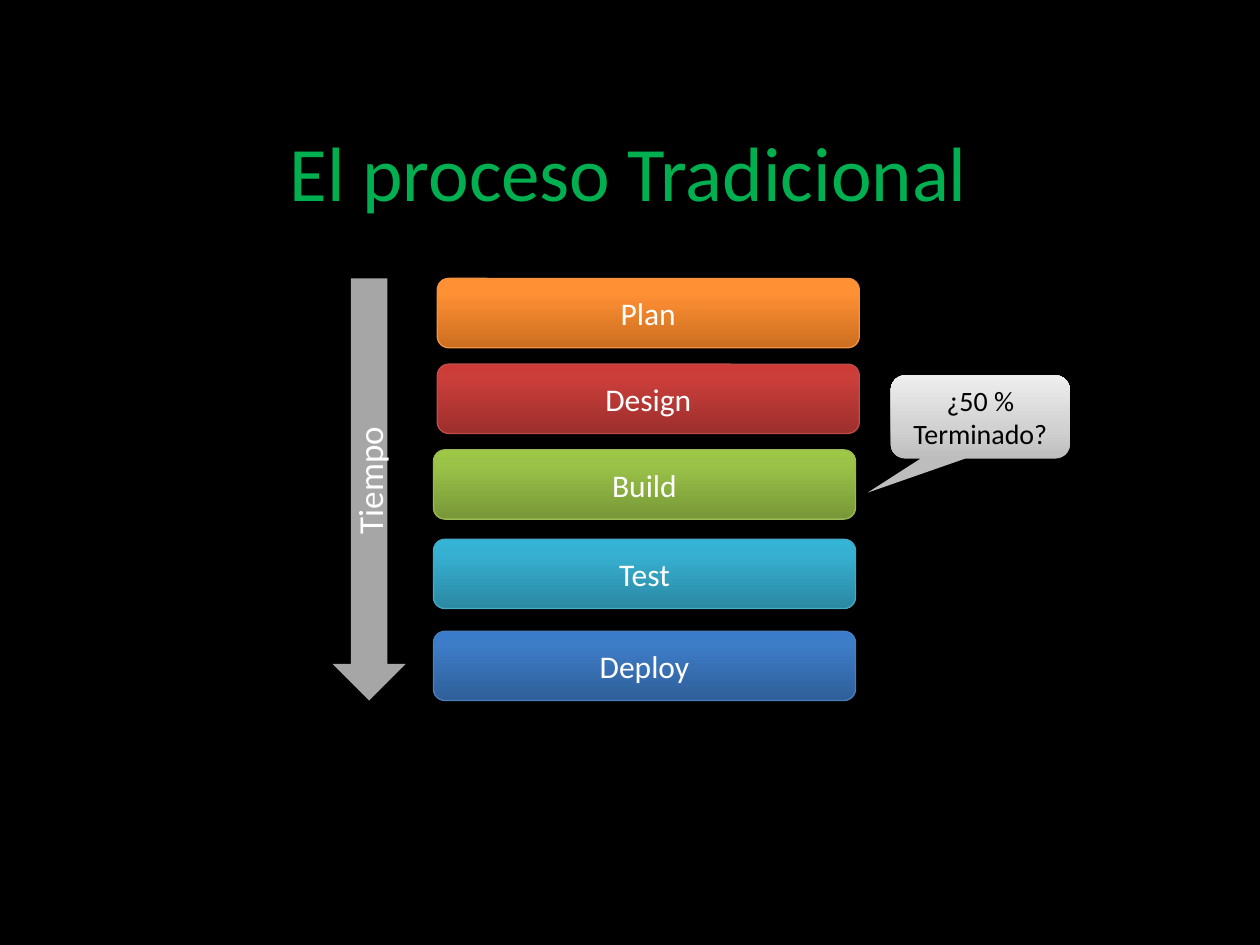
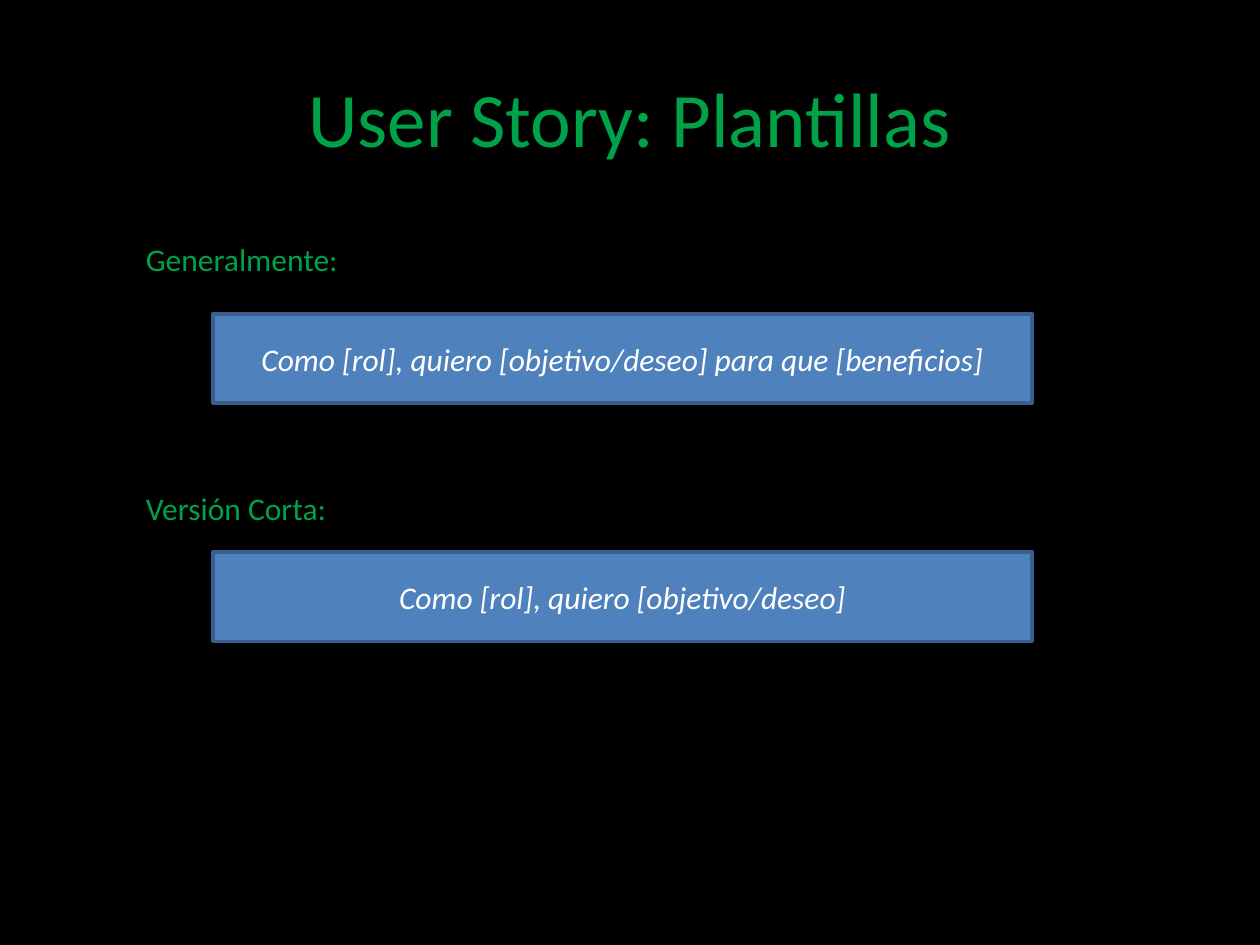
from dataclasses import dataclass

from lxml.etree import SubElement
from pptx import Presentation
from pptx.dml.color import RGBColor
from pptx.enum.shapes import MSO_SHAPE as SHAPE
from pptx.enum.text import MSO_ANCHOR as ANCHOR, MSO_AUTO_SIZE as AUTO_SIZE, PP_ALIGN as ALIGN
from pptx.oxml.ns import qn
from pptx.util import Inches, Pt

# Shared look
FONT = "Calibri"
BLACK, WHITE, GREY = "000000", "FFFFFF", "A6A6A6"
TITLE_GREEN, TEXT_GREEN = "00B050", "00A249"
BOX_FILL, BOX_LINE = "4F81BD", "3A5F8C"
TITLE_ONLY = 5


@dataclass
class Box:
    left: float
    top: float
    width: float
    height: float

    def lengths(self):
        return [Inches(v) for v in (self.left, self.top, self.width, self.height)]


@dataclass
class Phase:
    name: str
    left: float
    top: float
    dark: str
    mid: str
    light: str
    line: str


@dataclass
class Template:
    label: str
    label_box: Box
    story: str
    story_top: float


def rgb(color: str) -> RGBColor:
    return RGBColor.from_string(color)


def write(tf, lines: list[str], size: float, color: str, align=ALIGN.CENTER,
          anchor=ANCHOR.MIDDLE, italic=None) -> None:
    tf.vertical_anchor = anchor
    for i, line in enumerate(lines):
        p = tf.paragraphs[0] if i == 0 else tf.add_paragraph()
        p.alignment = align
        r = p.add_run()
        r.text = line
        r.font.name, r.font.size, r.font.italic = FONT, Pt(size), italic
        r.font.color.rgb = rgb(color)


def add_title_slide(prs, title: str, box: Box, color: str):
    s = prs.slides.add_slide(prs.slide_layouts[TITLE_ONLY])
    sp = s.shapes.title
    sp.left, sp.top, sp.width, sp.height = box.lengths()
    write(sp.text_frame, [title], 44, color)
    return s


def add_box(s, kind, box: Box, fill: str | None = None, line: str | None = None,
            line_width: float = 0.75):
    sp = s.shapes.add_shape(kind, *box.lengths())
    sp.shadow.inherit = False
    if fill:
        sp.fill.solid()
        sp.fill.fore_color.rgb = rgb(fill)
    if line:
        sp.line.color.rgb = rgb(line)
        sp.line.width = Pt(line_width)
    else:
        sp.line.fill.background()
    return sp


def add_gradient(sp, stops: list[tuple[int, str]]) -> None:
    """Fill from bottom to top; each stop is a percentage and a colour."""
    sp.fill.gradient()
    sp.fill.gradient_angle = 90
    stop_list = sp._element.spPr.find(qn("a:gradFill")).find(qn("a:gsLst"))
    for old in list(stop_list):
        stop_list.remove(old)
    for position, color in stops:
        stop = SubElement(stop_list, qn("a:gs"), pos=str(position * 1000))
        SubElement(stop, qn("a:srgbClr"), val=color)


def add_shadow(sp, alpha: int, distance: float) -> None:
    effects = sp._element.spPr.find(qn("a:effectLst"))
    shadow = SubElement(effects, qn("a:outerShdw"), blurRad=str(Pt(3.1)),
                        dist=str(Pt(distance)), dir="5400000", rotWithShape="0")
    color = SubElement(shadow, qn("a:srgbClr"), val=BLACK)
    SubElement(color, qn("a:alpha"), val=str(alpha * 1000))


def add_phase(s, phase: Phase) -> None:
    sp = add_box(s, SHAPE.ROUNDED_RECTANGLE, Box(phase.left, phase.top, 3.35, 0.55),
                 line=phase.line)
    add_gradient(sp, [(0, phase.dark), (80, phase.mid), (100, phase.light)])
    add_shadow(sp, 35, 1.8)
    write(sp.text_frame, [phase.name], 18, WHITE)


def add_template(s, template: Template) -> None:
    label = s.shapes.add_textbox(*template.label_box.lengths())
    tf = label.text_frame
    tf.word_wrap = False
    tf.auto_size = AUTO_SIZE.SHAPE_TO_FIT_TEXT
    write(tf, [template.label], 18, TEXT_GREEN, ALIGN.LEFT, ANCHOR.TOP)
    sp = add_box(s, SHAPE.RECTANGLE, Box(1.69, template.story_top, 6.5, 0.71),
                 BOX_FILL, BOX_LINE, 2)
    write(sp.text_frame, [template.story], 18, WHITE, italic=True)


prs = Presentation()
prs.slide_width, prs.slide_height = Inches(10), Inches(7.5)
background = prs.slide_master.background.fill
background.solid()
background.fore_color.rgb = rgb(BLACK)

# Slide 1: phases of the traditional process
PHASES = [
    Phase("Plan", 3.47, 2.21, "CC6E20", "FF9034", "FF9136", "F69240"),
    Phase("Design", 3.47, 2.89, "9C2F2D", "CB3E3A", "CE3B37", "BF4C48"),
    Phase("Build", 3.44, 3.57, "779737", "9BC348", "9DC746", "98B955"),
    Phase("Test", 3.44, 4.28, "2A88A2", "37B1D2", "34B4D6", "46AAC5"),
    Phase("Deploy", 3.44, 5.01, "2F5F99", "3D7CC7", "3A7CCB", "4B7EBC"),
]
s = add_title_slide(prs, "El proceso Tradicional", Box(0.35, 0.92, 9.28, 0.87), TITLE_GREEN)
for phase in PHASES:
    add_phase(s, phase)

# Time arrow
arrow = add_box(s, SHAPE.DOWN_ARROW, Box(2.64, 2.21, 0.58, 3.35), GREY)
write(arrow.text_frame, ["Tiempo"], 20, WHITE)
arrow.text_frame._txBody.bodyPr.set("vert", "vert270")

# Callout pointing at the build phase
callout = add_box(s, SHAPE.ROUNDED_RECTANGULAR_CALLOUT, Box(7.07, 2.98, 1.42, 0.66))
for i, value in enumerate((-0.63, 0.91, 0.17)):
    callout.adjustments[i] = value
add_gradient(callout, [(0, "BDBDBD"), (35, "D1D1D1"), (100, "EEEEEE")])
add_shadow(callout, 38, 1.6)
write(callout.text_frame, ["¿50 %", "Terminado?"], 16, BLACK)

# Slide 2: user story templates
TEMPLATES = [
    Template("Generalmente:", Box(1.06, 1.86, 1.74, 0.4),
             "Como [rol], quiero [objetivo/deseo] para que [beneficios]", 2.49),
    Template("Versión Corta:", Box(1.06, 3.83, 1.65, 0.4),
             "Como [rol], quiero [objetivo/deseo]", 4.38),
]
s = add_title_slide(prs, "User Story: Plantillas", Box(0.5, 0.3, 9, 1.25), TEXT_GREEN)
for template in TEMPLATES:
    add_template(s, template)

prs.save("out.pptx")
